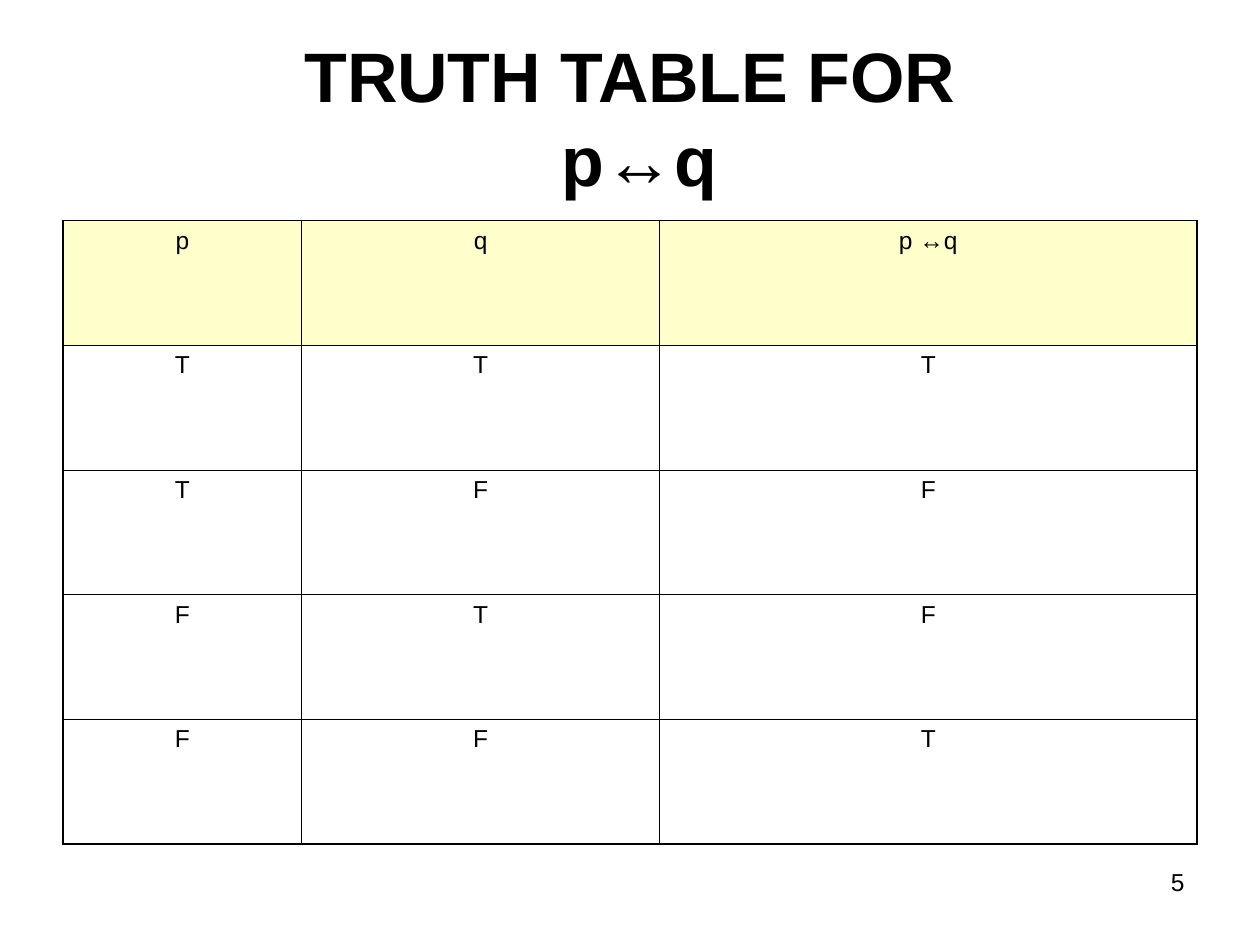
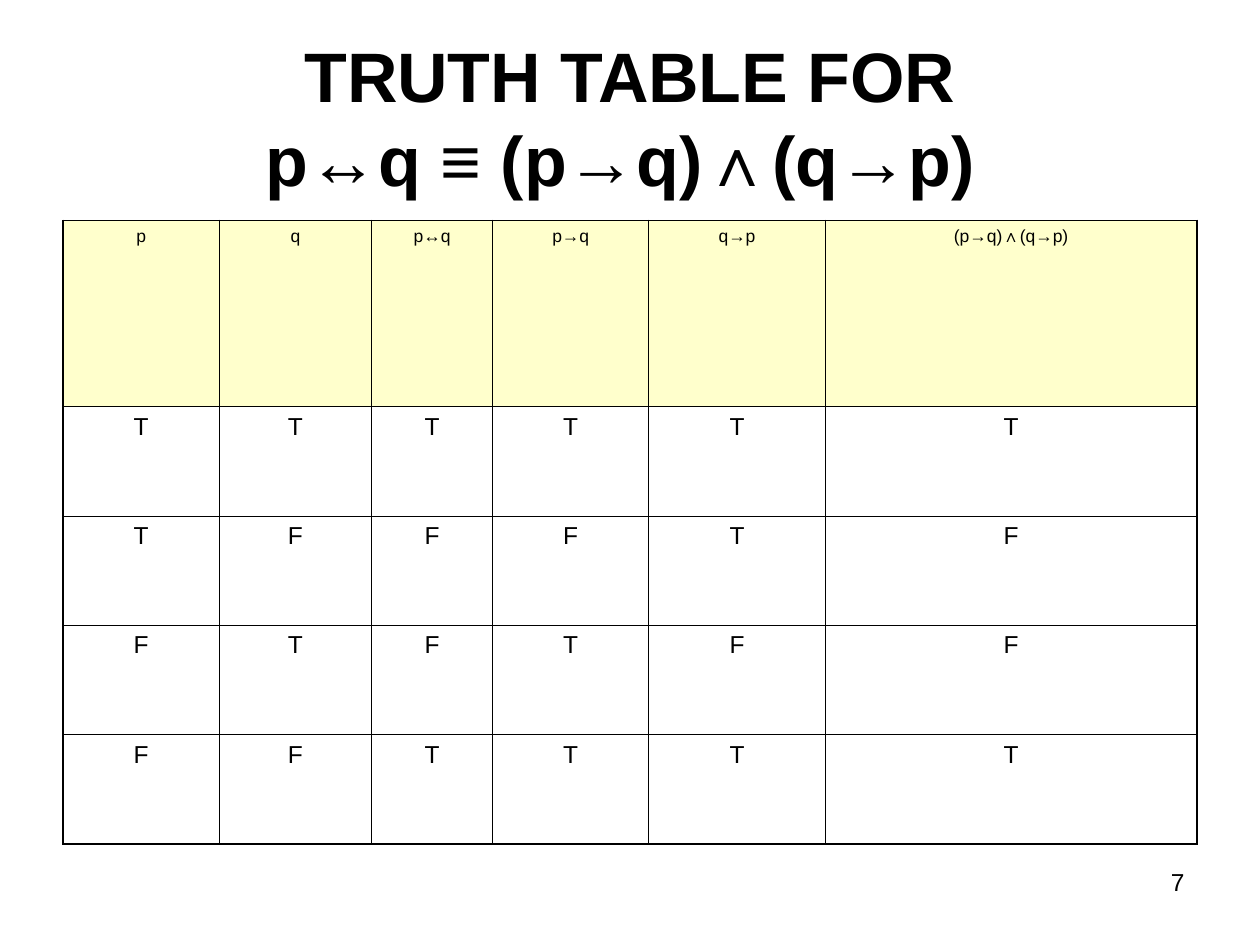
from lxml.etree import SubElement
from pptx import Presentation
from pptx.dml.color import RGBColor
from pptx.enum.text import MSO_ANCHOR, MSO_AUTO_SIZE, PP_ALIGN
from pptx.oxml.ns import qn
from pptx.util import Inches, Pt

COLORS = {"ink": "000000", "header": "FFFFCC"}
FONT = "Arial"
GRID_COLUMNS, GRID_ROWS = 200, 150
TITLE_AREA = (10, 6, 180, 25)
TABLE_AREA = (10, 35, 180, 99)
NUMBER_AREA = (143.4, 136.6, 46.6, 10.4)
THIN, THICK = 0.45, 1.08


def write(frame, *lines, size=14, bold=False, align=PP_ALIGN.CENTER):
    para = frame.paragraphs[0]
    para.alignment = align
    for index, line in enumerate(lines):
        if index:
            para.add_line_break()
        span = para.add_run()
        span.text = line
        span.font.name = FONT
        span.font.size = Pt(size)
        span.font.bold = bold
        span.font.color.rgb = RGBColor.from_string(COLORS["ink"])
    for line_break in para._p.findall(qn("a:br")):
        SubElement(line_break, qn("a:rPr"), sz=str(size * 100))


def share(total, weights):
    return [round(total * weight / sum(weights)) for weight in weights]


class TruthDeck:
    def __init__(self):
        self.deck = Presentation()
        self.deck.slide_width = Inches(10)
        self.deck.slide_height = Inches(7.5)
        self.page = None

    def area(self, left, top, width, height):
        column = self.deck.slide_width / GRID_COLUMNS
        row = self.deck.slide_height / GRID_ROWS
        return [round(length) for length in
                (left * column, top * row, width * column, height * row)]

    def add_page(self):
        self.page = self.deck.slides.add_slide(self.deck.slide_layouts[5])

    def number(self, value):
        box = self.page.shapes.add_textbox(*self.area(*NUMBER_AREA))
        box.text_frame.word_wrap = True
        write(box.text_frame, str(value), align=PP_ALIGN.RIGHT)

    def title(self, *lines):
        title = self.page.shapes.title
        title.left, title.top, title.width, title.height = self.area(*TITLE_AREA)
        frame = title.text_frame
        frame.word_wrap = True
        frame.auto_size = MSO_AUTO_SIZE.NONE
        frame.vertical_anchor = MSO_ANCHOR.MIDDLE
        write(frame, *lines, size=40, bold=True)

    def border(self, cell, **widths):
        properties = cell._tc.get_or_add_tcPr()
        for side, width in widths.items():
            line = SubElement(properties, qn(f"a:ln{side}"), w=str(Pt(width)))
            fill = SubElement(line, qn("a:solidFill"))
            SubElement(fill, qn("a:srgbClr"), val=COLORS["ink"])

    def table(self, headings, truths, column_weights, row_weights, heading_size):
        rows = [headings, *truths]
        left, top, width, height = self.area(*TABLE_AREA)
        table = self.page.shapes.add_table(
            len(rows), len(headings), left, top, width, height).table
        table.first_row = table.horz_banding = False
        for column, size in zip(table.columns, share(width, column_weights)):
            column.width = size
        for row, size in zip(table.rows, share(height, row_weights)):
            row.height = size
        last_row, last_column = len(rows) - 1, len(headings) - 1
        for y, values in enumerate(rows):
            for x, value in enumerate(values):
                cell = table.cell(y, x)
                write(cell.text_frame, value, size=14 if y else heading_size)
                self.border(cell,
                            L=THIN if x else THICK,
                            R=THICK if x == last_column else THIN,
                            T=THIN if y else THICK,
                            B=THICK if y == last_row else THIN)
                if y:
                    cell.fill.background()
                else:
                    cell.fill.solid()
                    cell.fill.fore_color.rgb = RGBColor.from_string(COLORS["header"])

    def truth_page(self, number, formula, **table):
        self.add_page()
        self.number(number)
        self.title("TRUTH TABLE FOR", formula)
        self.table(**table)


def main():
    truth = TruthDeck()
    truth.truth_page(
        5, " p↔q",
        headings=["p", "q", "p ↔q"],
        truths=["TTT", "TFF", "FTF", "FFT"],
        column_weights=[4, 6, 9],
        row_weights=[1] * 5,
        heading_size=14)
    truth.truth_page(
        7, "p↔q ≡ (p→q)∧(q→p) ",
        headings=["p", "q", "p↔q", "p→q", "q→p", "(p→q)∧(q→p)"],
        truths=["TTTTTT", "TFFFTF", "FTFTFF", "FFTTTT"],
        column_weights=[1.24, 1.21, 0.96, 1.24, 1.4, 2.95],
        row_weights=[1.7] + [1] * 4,
        heading_size=10)
    truth.deck.save("out.pptx")


if __name__ == "__main__":
    main()
